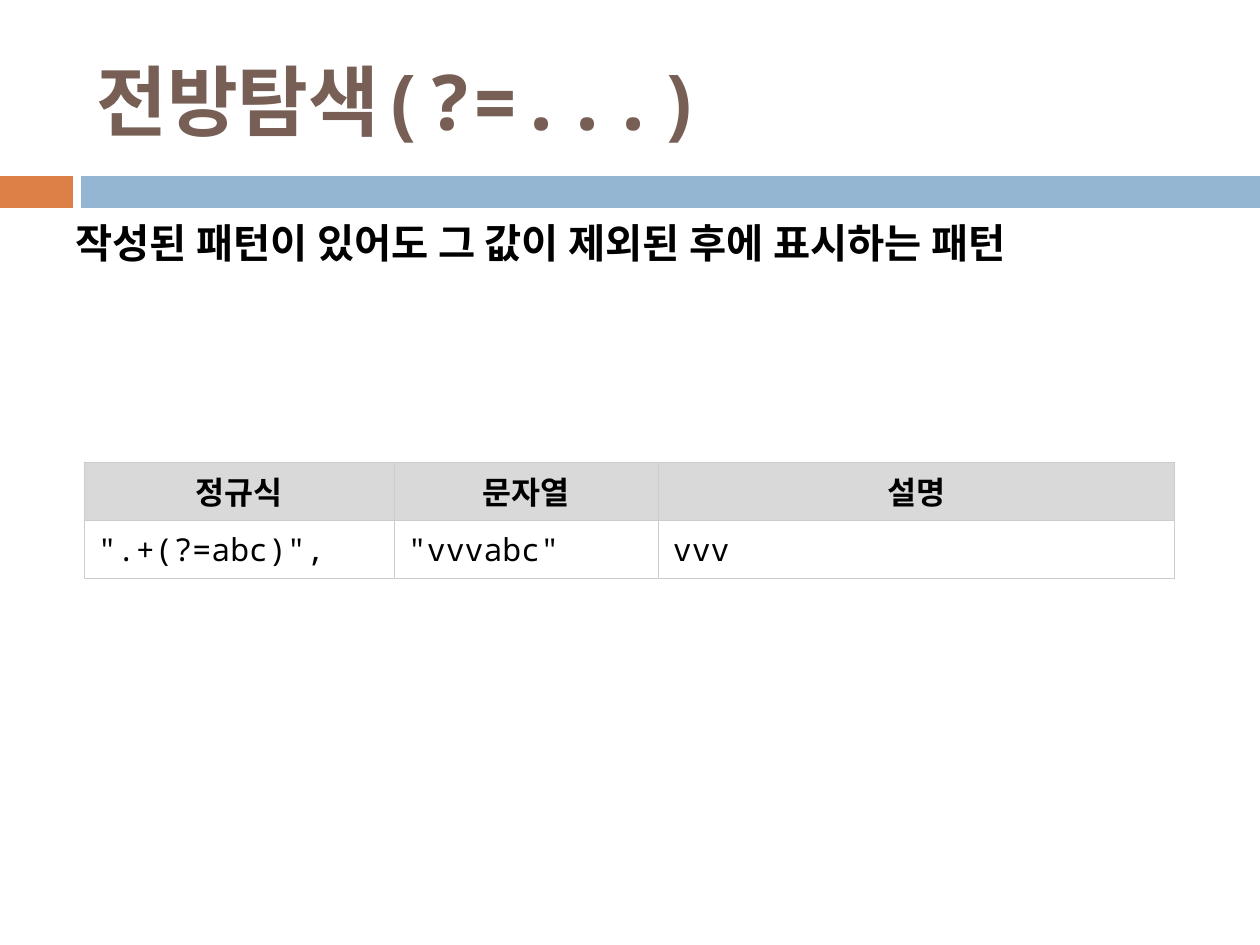
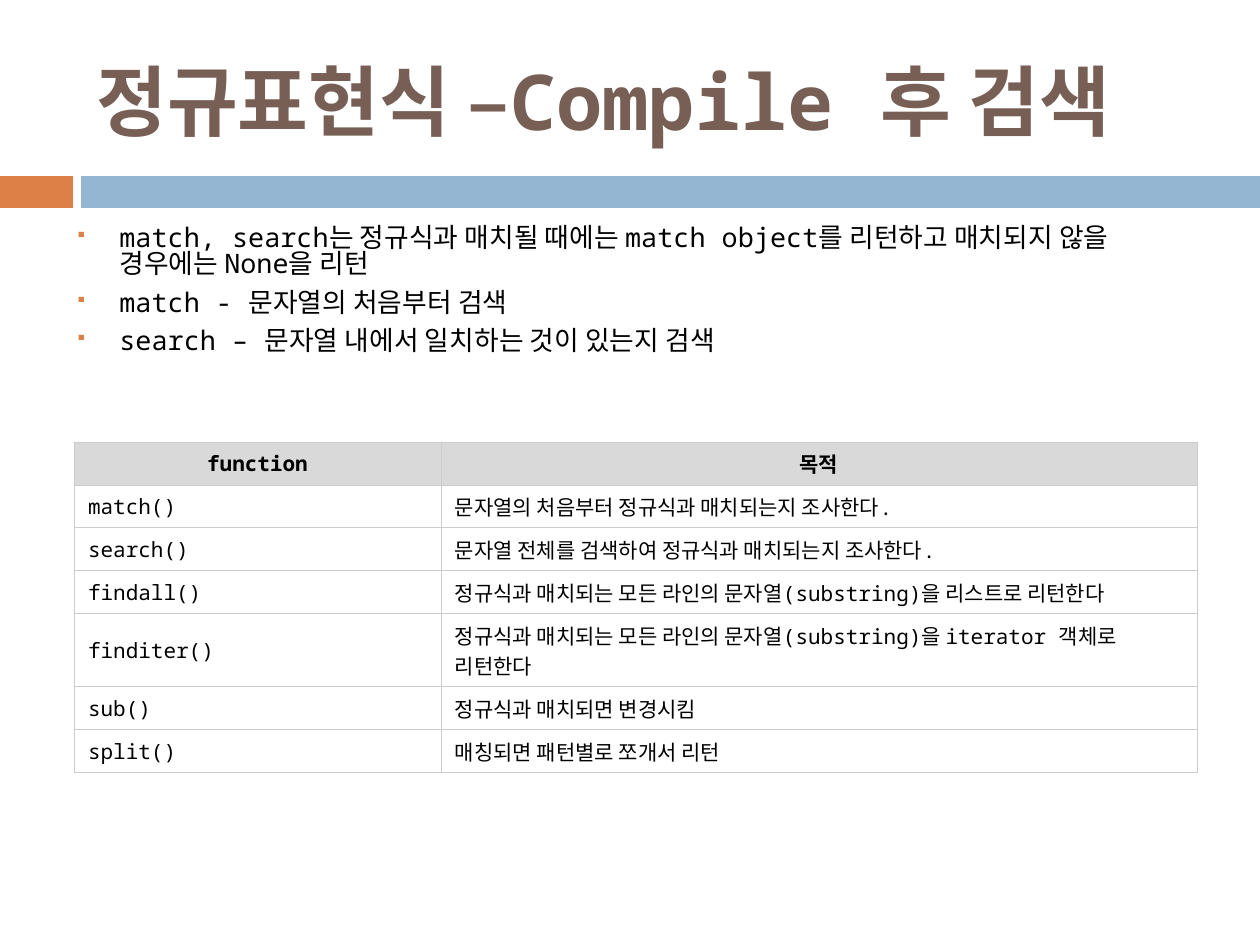
import pptx
import pptx.dml.color
import pptx.enum.shapes
import pptx.enum.text
import pptx.oxml
import pptx.oxml.ns
import pptx.util
from lxml import etree

PIXEL = 914400 // 126
FONT = "Noto Sans Mono"
BROWN, ORANGE, BLUE = "775F55", "DD8047", "94B6D2"
BLACK, WHITE, HEADER_GREY, RULE_GREY = "000000", "FFFFFF", "D9D9D9", "CCCCCC"
LEFT = pptx.enum.text.PP_ALIGN.LEFT
CENTER = pptx.enum.text.PP_ALIGN.CENTER
MIDDLE = pptx.enum.text.MSO_ANCHOR.MIDDLE
TOP = pptx.enum.text.MSO_ANCHOR.TOP


def px(length):
    return pptx.util.Emu(length * PIXEL)


def color(hex_string):
    return pptx.dml.color.RGBColor.from_string(hex_string)


def child(parent, tag, **attributes):
    return etree.SubElement(parent, pptx.oxml.ns.qn(tag), attributes)


def style(paragraph, size, bold=False, ink=BLACK, align=LEFT):
    paragraph.alignment = align
    paragraph.font.name = FONT
    paragraph.font.size = pptx.util.Pt(size)
    paragraph.font.bold = bold
    paragraph.font.color.rgb = color(ink)


def add_text_frame(slide, box, anchor):
    frame = slide.shapes.add_textbox(*map(px, box)).text_frame
    frame.word_wrap = True
    frame.vertical_anchor = anchor
    return frame


def add_band(slide, box, split=73, gap=8):
    left, top, width, height = box
    right_start = split + gap
    parts = [(left, split, ORANGE), (left + right_start, width - right_start, BLUE)]
    for start, length, fill in parts:
        bar = slide.shapes.add_shape(
            pptx.enum.shapes.MSO_SHAPE.RECTANGLE,
            px(start), px(top), px(length), px(height))
        bar.shadow.inherit = False
        bar.fill.solid()
        bar.fill.fore_color.rgb = color(fill)
        bar.line.fill.background()


def add_title(slide, box, title):
    frame = add_text_frame(slide, box, MIDDLE)
    frame.text = title
    style(frame.paragraphs[0], 44, bold=True, ink=BROWN)


def add_bullet(paragraph):
    properties = paragraph._p.get_or_add_pPr()
    indent = px(44)
    properties.set("marL", str(indent))
    properties.set("indent", str(-indent))
    child(child(properties, "a:buClr"), "a:srgbClr", val=ORANGE)
    child(properties, "a:buSzPct", val="60000")
    child(properties, "a:buChar", char="▪")


def add_body(slide, box, lines, size, bold=False, bulleted=False):
    frame = add_text_frame(slide, box, TOP)
    frame.text = "\n".join(lines)
    for paragraph in frame.paragraphs:
        if bulleted:
            add_bullet(paragraph)
        paragraph.line_spacing = 0.82
        paragraph.space_before = pptx.util.Pt(7)
        style(paragraph, size, bold)


def add_cell_borders(cell):
    properties = cell._tc.get_or_add_tcPr()
    for side in ("a:lnL", "a:lnR", "a:lnT", "a:lnB"):
        border = child(properties, side, w=str(pptx.util.Pt(0.6)))
        child(child(border, "a:solidFill"), "a:srgbClr", val=RULE_GREY)


def add_grid(slide, corner, column_widths, row_heights, rows, size):
    table = slide.shapes.add_table(
        len(rows), len(column_widths), *map(px, corner),
        px(sum(column_widths)), px(sum(row_heights))).table
    for column, width in zip(table.columns, column_widths):
        column.width = px(width)
    for row, height in zip(table.rows, row_heights):
        row.height = px(height)
    for row_index, texts in enumerate(rows):
        is_header = row_index == 0
        for column_index, text in enumerate(texts):
            cell = table.cell(row_index, column_index)
            cell.text = text
            cell.vertical_anchor = MIDDLE
            cell.margin_left = cell.margin_right = px(14)
            cell.margin_top = cell.margin_bottom = px(6)
            add_cell_borders(cell)
            cell.fill.solid()
            cell.fill.fore_color.rgb = color(HEADER_GREY if is_header else WHITE)
            style(cell.text_frame.paragraphs[0], size, is_header,
                  align=CENTER if is_header else LEFT)


def add_titled_slide(deck, title):
    slide = deck.slides.add_slide(deck.slide_layouts[6])
    add_band(slide, (0, 176, 1260, 32))
    add_title(slide, (84, 32, 1124, 136), title)
    return slide


def build_lookahead(deck):
    slide = add_titled_slide(deck, "전방탐색(?=...)")
    add_body(slide, (63, 220, 1134, 83),
             ["작성된 패턴이 있어도 그 값이 제외된 후에 표시하는 패턴"], 23.1, bold=True)
    rows = [
        ("정규식", "문자열", "설명"),
        ('".+(?=abc)",', '"vvvabc"', "vvv"),
    ]
    add_grid(slide, (84, 462), (310, 265, 516), (58, 58), rows, 18)


def build_compiled_search(deck):
    slide = add_titled_slide(deck, "정규표현식 –Compile 후 검색")
    notes_on_search = [
        "match, search는 정규식과 매치될 때에는 match object를 리턴하고 "
        "매치되지 않을 경우에는 None을 리턴",
        "match - 문자열의 처음부터 검색",
        "search – 문자열 내에서 일치하는 것이 있는지 검색",
    ]
    add_body(slide, (63, 220, 1134, 173), notes_on_search, 15.3, bulleted=True)
    rows = [
        ("function", "목적"),
        ("match()", "문자열의 처음부터 정규식과 매치되는지 조사한다."),
        ("search()", "문자열 전체를 검색하여 정규식과 매치되는지 조사한다."),
        ("findall()", "정규식과 매치되는 모든 라인의 문자열(substring)을 리스트로 리턴한다"),
        ("finditer()", "정규식과 매치되는 모든 라인의 문자열(substring)을 iterator 객체로 리턴한다"),
        ("sub()", "정규식과 매치되면 변경시킴"),
        ("split()", "매칭되면 패턴별로 쪼개서 리턴"),
    ]
    row_heights = [73 if name == "finditer()" else 43 for name, purpose in rows]
    add_grid(slide, (74, 442), (367, 756), row_heights, rows, 12)


deck = pptx.Presentation()
deck.slide_width, deck.slide_height = px(1260), px(945)
build_lookahead(deck)
build_compiled_search(deck)
deck.save("out.pptx")
